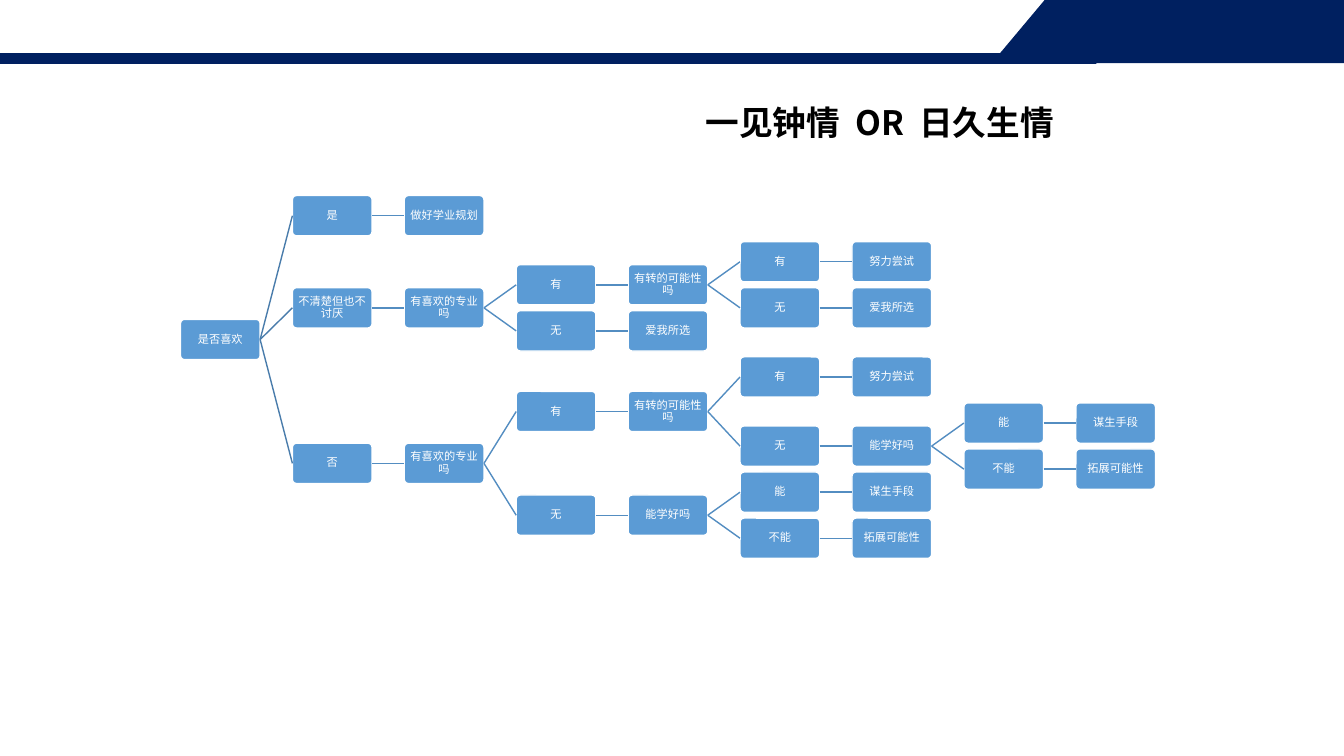
from pptx import Presentation, util as u
from pptx.dml.color import RGBColor
from pptx.enum import shapes, text
from pptx.oxml import ns, xmlchemy

Inches = u.Inches
COLORS = {"navy": "002060", "node": "5B9BD5", "white": "FFFFFF", "black": "000000",
          "root_link": "497CAB", "link": "538DC1"}
NODE_FONT, TITLE_FONT = "Noto Sans CJK SC", "Noto Sans CJK KR"

# Tree geometry: centres of the rows and left edges of the columns
NODE_W, NODE_H = 0.79, 0.4
LEFT, COLUMN_STEP = 1.79, 1.11
FIRST_ROW, ROW_STEP = 2.14, 3.2 / 7

# Each node is (label, children); an end node holds its row number instead
TREE = ("是否喜欢", [
    ("是", [("做好学业规划", 0)]),
    ("不清楚但也不讨厌", [("有喜欢的专业吗", [
        ("有", [("有转的可能性吗", [
            ("有", [("努力尝试", 1)]),
            ("无", [("爱我所选", 2)])])]),
        ("无", [("爱我所选", 2.5)])])]),
    ("否", [("有喜欢的专业吗", [
        ("有", [("有转的可能性吗", [
            ("有", [("努力尝试", 3.5)]),
            ("无", [("能学好吗", [
                ("能", [("谋生手段", 4.5)]),
                ("不能", [("拓展可能性", 5.5)])])])])]),
        ("无", [("能学好吗", [
            ("能", [("谋生手段", 6)]),
            ("不能", [("拓展可能性", 7)])])])])]),
])


def row_of(node):
    """A parent sits midway between its first and last child."""
    below = node[1]
    if not isinstance(below, list):
        return below
    return (row_of(below[0]) + row_of(below[-1])) / 2


class SlideBuilder:
    def __init__(self, page):
        self.page = page

    def color(self, name):
        return RGBColor.from_string(COLORS[name])

    def paint(self, shape, fill, line, width):
        shape.shadow.inherit = False
        shape.fill.solid()
        shape.fill.fore_color.rgb = self.color(fill)
        shape.line.color.rgb = self.color(line)
        shape.line.width = u.Pt(width)

    def label(self, shape, words, font, size, color, bold=False):
        shape.text_frame.text = words
        paragraph = shape.text_frame.paragraphs[0]
        for span in paragraph.runs:
            span.font.name = font
            span.font.size = u.Pt(size)
            span.font.bold = bold
            span.font.color.rgb = self.color(color)
            east_asian = xmlchemy.OxmlElement("a:ea")
            east_asian.set("typeface", font)
            span.font._element.find(ns.qn("a:latin")).addnext(east_asian)
        return paragraph

    def bar(self, left, top, width, height):
        box = self.page.shapes.add_shape(
            shapes.MSO_SHAPE.RECTANGLE, *map(Inches, (left, top, width, height)))
        self.paint(box, "navy", "navy", 1.5)

    def outline(self, points):
        start, *rest = [(Inches(x), Inches(y)) for x, y in points]
        builder = self.page.shapes.build_freeform(*start)
        builder.add_line_segments(rest, close=True)
        self.paint(builder.convert_to_shape(), "navy", "navy", 1)

    def title(self, words, left, top, width, height):
        box = self.page.shapes.add_textbox(*map(Inches, (left, top, width, height)))
        box.text_frame.word_wrap = True
        box.text_frame.auto_size = text.MSO_AUTO_SIZE.SHAPE_TO_FIT_TEXT
        self.label(box, words, TITLE_FONT, 24, "black", bold=True)

    def node(self, words, column, row):
        left = LEFT + column * COLUMN_STEP
        top = FIRST_ROW + row * ROW_STEP - NODE_H / 2
        box = self.page.shapes.add_shape(
            shapes.MSO_SHAPE.ROUNDED_RECTANGLE, *map(Inches, (left, top, NODE_W, NODE_H)))
        box.adjustments[0] = 0.1
        self.paint(box, "node", "white", 1)
        frame = box.text_frame
        frame.word_wrap = True
        frame.vertical_anchor = text.MSO_ANCHOR.MIDDLE
        frame.margin_left = frame.margin_right = Inches(0.01)
        frame.margin_top = frame.margin_bottom = Inches(0.01)
        paragraph = self.label(box, words, NODE_FONT, 8, "white")
        paragraph.alignment = text.PP_ALIGN.CENTER
        paragraph.line_spacing = 0.9
        return box

    def link(self, parent, child, color):
        line = self.page.shapes.add_connector(shapes.MSO_CONNECTOR.STRAIGHT, 0, 0, 0, 0)
        line.begin_connect(parent, 3)
        line.end_connect(child, 1)
        line.line.color.rgb = self.color(color)
        line.line.width = u.Pt(1)
        line._element.spPr.append(xmlchemy.OxmlElement("a:effectLst"))

    def tree(self, node, column=0):
        words, below = node
        box = self.node(words, column, row_of(node))
        if isinstance(below, list):
            for child in below:
                child_box = self.tree(child, column + 1)
                self.link(box, child_box, "link" if column else "root_link")
        return box


def main():
    deck = Presentation()
    deck.slide_width, deck.slide_height = Inches(13.33), Inches(7.5)
    slide = SlideBuilder(deck.slides.add_slide(deck.slide_layouts[6]))

    # Header band
    slide.outline([(9.85, 0.62), (10.37, 0), (13.33, 0), (13.33, 0.62)])
    slide.bar(0, 0.54, 10.87, 0.08)

    # Decision tree and title
    slide.tree(TREE)
    slide.title("一见钟情  OR  日久生情", 6.9, 0.96, 4.25, 0.51)

    deck.save("out.pptx")


if __name__ == "__main__":
    main()
